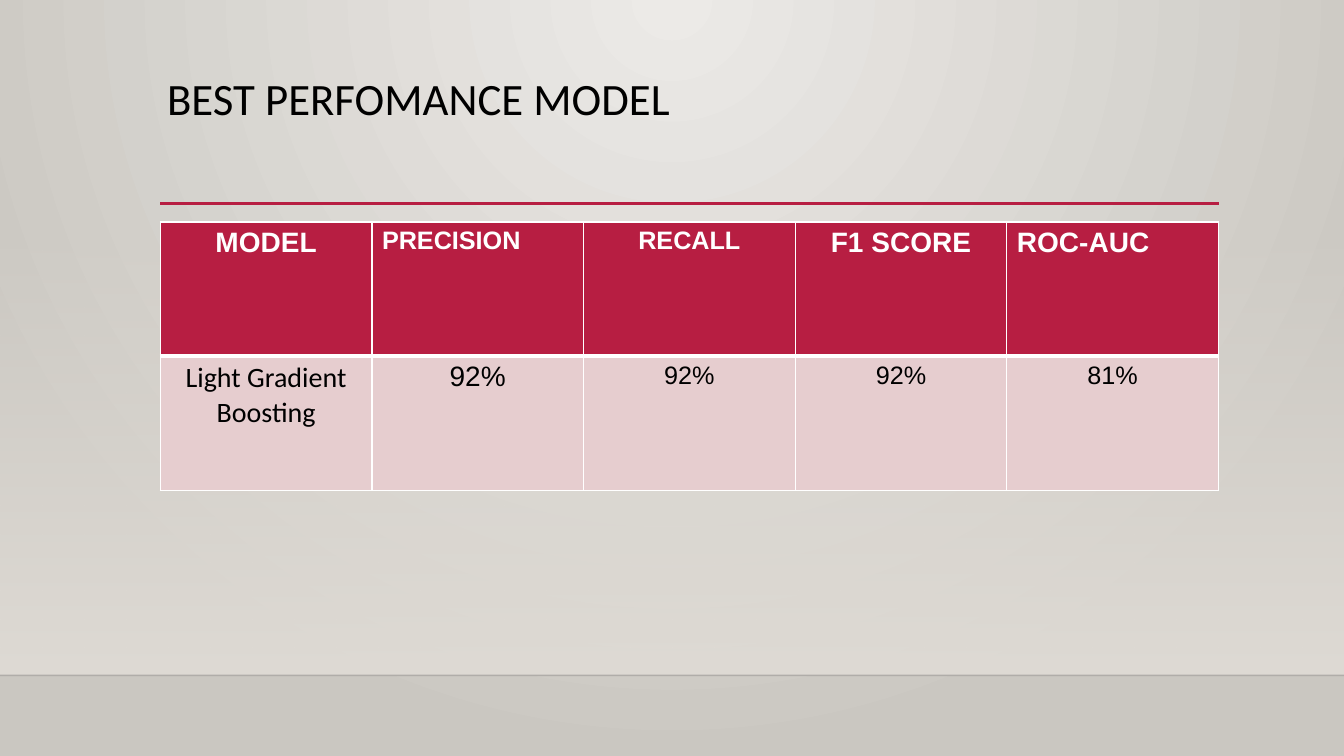
"""Build the best-performance-model slide with its metrics table."""
from dataclasses import dataclass

from lxml import etree
from pptx import Presentation
from pptx.dml.color import RGBColor
from pptx.enum import shapes, text
from pptx.oxml import ns
from pptx.util import Pt


@dataclass(frozen=True)
class Theme:
    accent: str = "B71E42"
    pale: str = "E6CDCF"
    white: str = "FFFFFF"
    black: str = "000000"
    edge: str = "000001"
    glow: str = "ECEAE7"
    shade: str = "CAC7C1"
    haze: str = "DFDBD5"
    heading: str = "Calibri"
    body: str = "Arial"
    title: int = 32
    large: int = 20
    small: int = 18


@dataclass(frozen=True)
class Metric:
    name: str
    value: str
    name_size: int
    value_size: int
    name_centred: bool = True
    value_font: str = "Arial"


@dataclass(frozen=True)
class Rule:
    left: float
    right: float
    y: float
    width: float
    color: str
    opacity: int = 100


T = Theme()
SLIDE_W, SLIDE_H = 960, 540
FLOOR_Y, HAZE_Y = 482.4, 159
TABLE_X, TABLE_Y, COL_W, ROW_H = 114.5, 158.6, 151.2, 95.8
RULES = (
    Rule(0, SLIDE_W, FLOOR_Y, 1, T.edge, 20),
    Rule(TABLE_X, 870.8, 145.4, 2.5, T.accent),
)
METRICS = (
    Metric("MODEL", "Light Gradient Boosting", T.large, T.large, value_font=T.heading),
    Metric("PRECISION", "92%", T.small, T.large, name_centred=False),
    Metric("RECALL", "92%", T.small, T.small),
    Metric("F1 SCORE", "92%", T.large, T.small),
    Metric("ROC-AUC", "81%", T.large, T.small, name_centred=False),
)


def rgb(color: str) -> RGBColor:
    """Turn a hex string into a colour."""
    return RGBColor.from_string(color)


def add_node(parent, tag: str, **attrs):
    """Append a DrawingML element."""
    return etree.SubElement(parent, ns.qn(tag), attrs)


def set_alpha(element, percent: int) -> None:
    """Give the first RGB colour inside an element an opacity."""
    color = next(element.iter(ns.qn("a:srgbClr")))
    add_node(color, "a:alpha", val=str(percent * 1000))


def set_gradient(fill, colors: tuple) -> None:
    """Apply a two-stop gradient."""
    fill.gradient()
    for stop, color in zip(fill.gradient_stops, colors):
        stop.color.rgb = rgb(color)


def style_run(p, font: str, size: int, color: str, bold: bool = False) -> None:
    """Format the runs of a paragraph."""
    for r in p.runs:
        r.font.name = font
        r.font.size = Pt(size)
        r.font.bold = bold
        r.font.color.rgb = rgb(color)


def add_backdrop(s) -> None:
    """Draw the radial background and the fading haze."""
    set_gradient(s.background.fill, (T.glow, T.shade))
    grad = next(s.element.iter(ns.qn("a:gradFill")))
    grad.remove(grad.find(ns.qn("a:lin")))
    circle = add_node(grad, "a:path", path="circle")
    add_node(circle, "a:fillToRect", l="43000", t="0", r="43000", b="100000")

    haze = s.shapes.add_shape(shapes.MSO_SHAPE.RECTANGLE, 0, Pt(HAZE_Y),
                              Pt(SLIDE_W), Pt(FLOOR_Y - HAZE_Y))
    haze.shadow.inherit = False
    haze.line.fill.background()
    set_gradient(haze.fill, (T.haze, T.haze))
    haze.fill.gradient_angle = 270
    set_alpha(haze.element.spPr, 0)


def add_rule(s, rule: Rule) -> None:
    """Draw a horizontal line."""
    line = s.shapes.add_connector(shapes.MSO_CONNECTOR.STRAIGHT, Pt(rule.left),
                                  Pt(rule.y), Pt(rule.right), Pt(rule.y))
    line.line.width = Pt(rule.width)
    line.line.color.rgb = rgb(rule.color)
    if rule.opacity < 100:
        set_alpha(line.element.spPr, rule.opacity)
    add_node(line.element.spPr, "a:effectLst")


def add_title(s) -> None:
    """Write the heading."""
    tf = s.shapes.add_textbox(Pt(112.3), Pt(51.1), Pt(756), Pt(82.8)).text_frame
    tf.word_wrap = True
    tf.text = "BEST PERFOMANCE MODEL"
    p = tf.paragraphs[0]
    p.line_spacing = 0.9
    style_run(p, T.heading, T.title, T.black)


def fill_cell(cell, label: str, font: str, size: int, centred: bool, header: bool) -> None:
    """Write, border and colour one table cell."""
    tc_pr = cell._tc.get_or_add_tcPr()
    heavy = "B" if header else "T"
    for side in "LRTB":
        width = Pt(3 if side == heavy else 1)
        ln = add_node(tc_pr, f"a:ln{side}", w=str(width))
        add_node(add_node(ln, "a:solidFill"), "a:srgbClr", val=T.white)
    cell.fill.solid()
    cell.fill.fore_color.rgb = rgb(T.accent if header else T.pale)
    cell.text_frame.text = label
    p = cell.text_frame.paragraphs[0]
    p.alignment = text.PP_ALIGN.CENTER if centred else text.PP_ALIGN.LEFT
    style_run(p, font, size, T.white if header else T.black, header)


def add_metrics(s) -> None:
    """Draw the table of model scores."""
    table = s.shapes.add_table(2, len(METRICS), Pt(TABLE_X), Pt(TABLE_Y),
                               Pt(COL_W * len(METRICS)), Pt(ROW_H * 2)).table
    for row in table.rows:
        row.height = Pt(ROW_H)
    for i, m in enumerate(METRICS):
        table.columns[i].width = Pt(COL_W)
        fill_cell(table.cell(0, i), m.name, T.body, m.name_size, m.name_centred, True)
        fill_cell(table.cell(1, i), m.value, m.value_font, m.value_size, True, False)


def main() -> None:
    """Assemble and save the slide."""
    prs = Presentation()
    prs.slide_width, prs.slide_height = Pt(SLIDE_W), Pt(SLIDE_H)
    s = prs.slides.add_slide(prs.slide_layouts[6])
    add_backdrop(s)
    for rule in RULES:
        add_rule(s, rule)
    add_title(s)
    add_metrics(s)
    prs.save("out.pptx")


if __name__ == "__main__":
    main()
